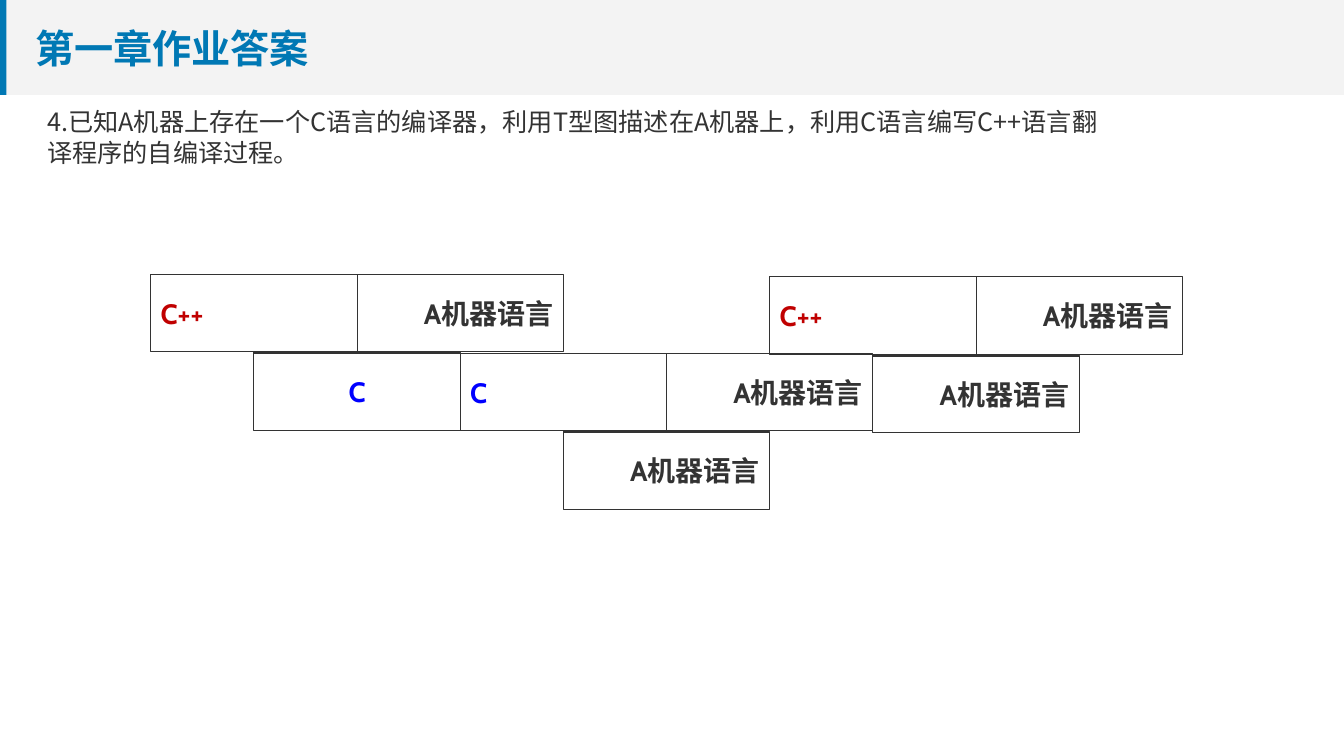
import pptx
import pptx.dml.color
import pptx.enum.shapes
import pptx.enum.text
import pptx.oxml
import pptx.oxml.ns
import pptx.util
from lxml import etree

Pt = pptx.util.Pt
ALIGN = pptx.enum.text.PP_ALIGN
ANCHOR = pptx.enum.text.MSO_ANCHOR
RECTANGLE = pptx.enum.shapes.MSO_SHAPE.RECTANGLE
STRAIGHT = pptx.enum.shapes.MSO_CONNECTOR.STRAIGHT
qn = pptx.oxml.ns.qn

COLOURS = {
    "band": "D9D9D9",
    "accent": "0078B4",
    "text": "333333",
    "new_language": "C00000",
    "base_language": "0000FF",
}
CJK_FONT = "Noto Sans CJK SC"
LATIN_FONT = "Cabin"
MACHINE = "A机器语言"
CELL_WIDTH = 147.4
CELL_HEIGHT = 55.4
ROW_STEP = 56.1
RULE_OFFSET = 0.7


def rgb(name):
    return pptx.dml.color.RGBColor.from_string(COLOURS[name])


def write(shape, text, font, size, colour, bold=False, align=ALIGN.LEFT, anchor=ANCHOR.MIDDLE):
    frame = shape.text_frame
    frame.word_wrap = True
    frame.vertical_anchor = anchor
    paragraph = frame.paragraphs[0]
    paragraph.text = text
    paragraph.alignment = align
    paragraph.font.name = font
    paragraph.font.size = Pt(size)
    paragraph.font.bold = bold
    paragraph.font.color.rgb = rgb(colour)
    properties = paragraph.runs[0].font
    properties.name = font
    east_asian = etree.Element(qn("a:ea"), typeface=CJK_FONT)
    properties._element.find(qn("a:latin")).addnext(east_asian)


def add_bar(slide, width, colour, alpha=None):
    shape = slide.shapes.add_shape(RECTANGLE, 0, 0, Pt(width), Pt(67.8))
    shape.shadow.inherit = False
    shape.fill.solid()
    shape.fill.fore_color.rgb = rgb(colour)
    shape.line.fill.background()
    if alpha:
        value = shape._element.spPr.find(qn("a:solidFill")).find(qn("a:srgbClr"))
        etree.SubElement(value, qn("a:alpha"), val=str(alpha * 1000))


def add_text(slide, left, top, width, height, text, size, colour, **style):
    box = slide.shapes.add_textbox(Pt(left), Pt(top), Pt(width), Pt(height))
    write(box, text, CJK_FONT, size, colour, **style)


def add_cell(group, left, top, text, colour, align):
    cell = group.shapes.add_shape(RECTANGLE, Pt(left), Pt(top), Pt(CELL_WIDTH), Pt(CELL_HEIGHT))
    cell.shadow.inherit = False
    cell.fill.background()
    cell.line.color.rgb = rgb("text")
    cell.line.width = Pt(0.75)
    write(cell, text, LATIN_FONT, 20, colour, bold=True, align=align)
    return cell


def add_rule(group, left, top, right, bottom):
    rule = group.shapes.add_connector(STRAIGHT, Pt(left), Pt(top), Pt(right), Pt(bottom))
    rule.line.color.rgb = rgb("text")
    rule.line.width = Pt(0.75)
    etree.SubElement(rule._element.spPr, qn("a:effectLst"))
    return rule


def add_t_diagram(slide, left, top, source, source_colour, written_in, written_colour, written_align):
    group = slide.shapes.add_group_shape()
    middle = left + CELL_WIDTH
    stem_left = left + CELL_WIDTH / 2
    stem_top = top + ROW_STEP
    add_cell(group, left, top, source, source_colour, ALIGN.LEFT)
    add_cell(group, middle, top, MACHINE, "text", ALIGN.RIGHT)
    stem = add_cell(group, stem_left, stem_top, written_in, written_colour, written_align)
    rule_top = stem_top + RULE_OFFSET
    add_rule(group, stem_left, rule_top, stem_left + CELL_WIDTH, rule_top)
    divider = add_rule(group, middle, top, middle, stem_top)
    divider.end_connect(stem, 0)


def main():
    presentation = pptx.Presentation()
    presentation.slide_width = Pt(960)
    presentation.slide_height = Pt(540)
    slide = presentation.slides.add_slide(presentation.slide_layouts[6])

    add_bar(slide, 960, "band", alpha=30)
    add_bar(slide, 4.5, "accent")
    add_text(slide, 18, 13, 735, 42.5, "第一章作业答案", 28, "accent", bold=True)
    add_text(
        slide, 26.6, 72.7, 764.6, 51,
        "4.已知A机器上存在一个C语言的编译器，利用T型图描述在A机器上，利用C语言编写C++语言翻译程序的自编译过程。",
        18, "text", anchor=ANCHOR.TOP,
    )

    diagrams = [
        (196, "C++", "new_language", "C", "base_language", ALIGN.CENTER),
        (252.4, "C", "base_language", MACHINE, "text", ALIGN.RIGHT),
        (197.6, "C++", "new_language", MACHINE, "text", ALIGN.RIGHT),
    ]
    for index, (top, *labels) in enumerate(diagrams):
        add_t_diagram(slide, 107.7 + index * 1.5 * CELL_WIDTH, top, *labels)

    presentation.save("out.pptx")


if __name__ == "__main__":
    main()
